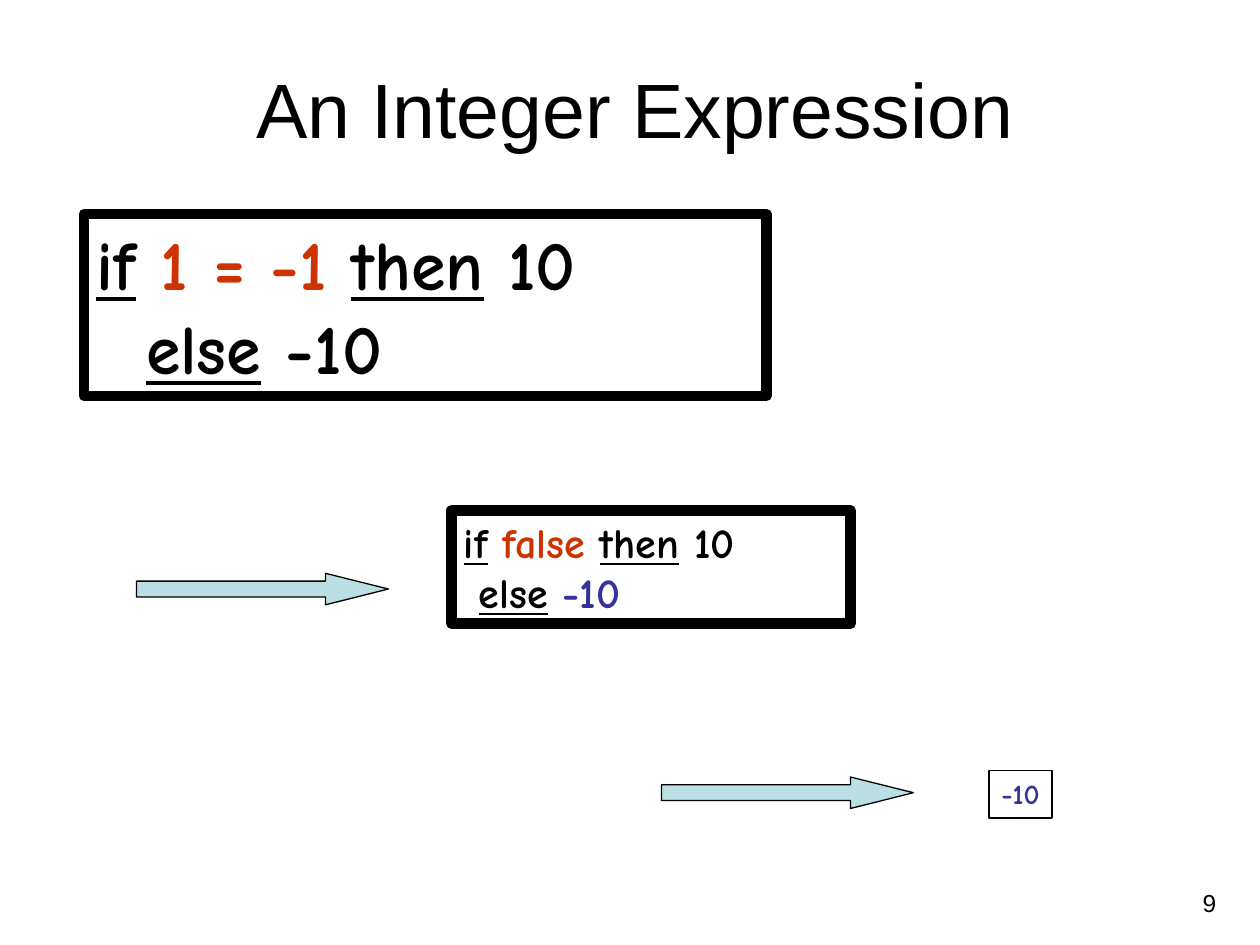
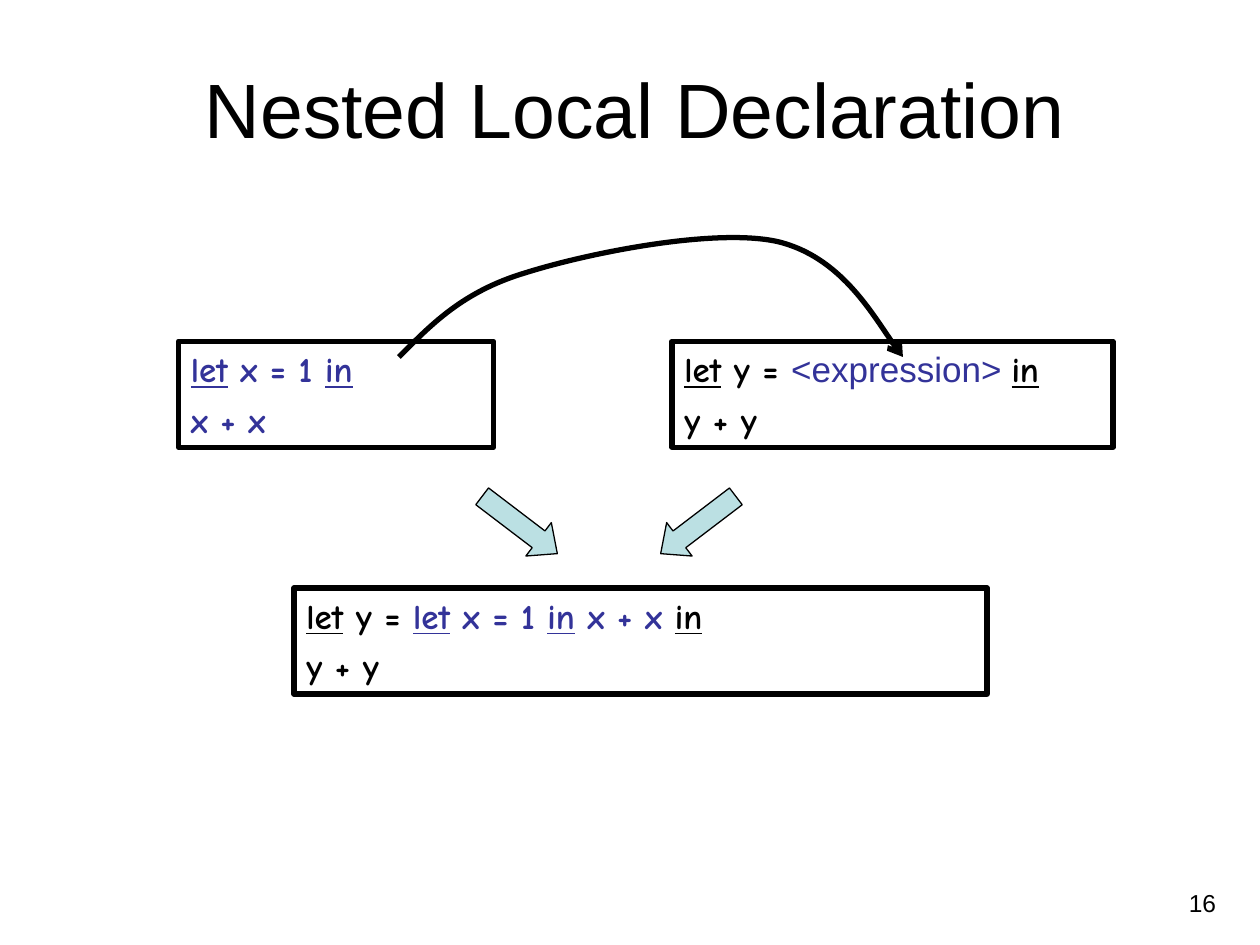
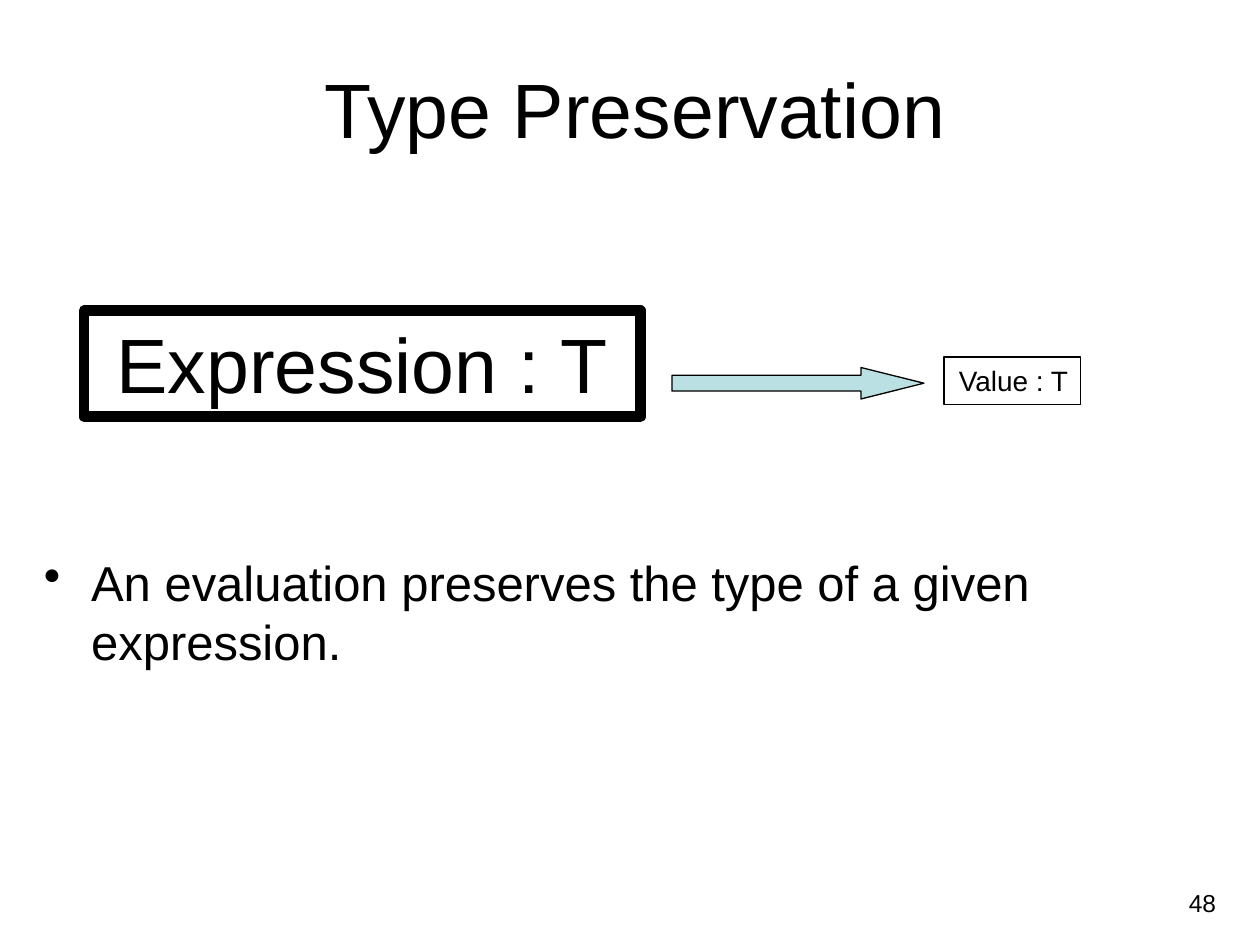
from dataclasses import dataclass

from lxml.etree import SubElement
from pptx import Presentation
from pptx.dml.color import RGBColor
from pptx.enum.shapes import MSO_SHAPE
from pptx.enum.text import MSO_ANCHOR, PP_ALIGN
from pptx.oxml.ns import qn
from pptx.util import Pt

PX = 7620  # EMU per px, 120 px to the inch


@dataclass(frozen=True)
class Theme:
    black: RGBColor = RGBColor(0x00, 0x00, 0x00)
    red: RGBColor = RGBColor(0xCC, 0x33, 0x00)
    blue: RGBColor = RGBColor(0x33, 0x33, 0x99)
    arrow: RGBColor = RGBColor(0xBB, 0xE0, 0xE3)
    text_font: str = "Arial"
    code_font: str = "Comic Neue"
    title_size: int = 44
    body_size: int = 28
    number_size: int = 14
    code_large: int = 40
    code_medium: int = 24
    code_small: int = 20
    value_size: int = 16
    thin: float = 0.75
    medium: int = 3
    thick: int = 6


theme = Theme()
BLACK, RED, BLUE = theme.black, theme.red, theme.blue
CODE, TEXT = theme.code_font, theme.text_font
KEYWORDS = {"if", "then", "else", "let", "in"}


def write_lines(shape, lines, size, align=PP_ALIGN.LEFT, space_before=0):
    """Write lines of (text, colour, font) runs; code is bold, its keywords underlined."""
    text_frame = shape.text_frame
    for index, line in enumerate(lines):
        paragraph = text_frame.add_paragraph() if index else text_frame.paragraphs[0]
        paragraph.alignment = align
        if index:
            paragraph.space_before = Pt(space_before)
        for text, color, font in line:
            run = paragraph.add_run()
            run.text = text
            run.font.name = font
            run.font.size = Pt(size)
            run.font.color.rgb = color
            run.font.bold = font == CODE
            run.font.underline = text in KEYWORDS


def add_figure(slide, kind, box, line_width, fill=None):
    """Add an outlined preset shape; box is left, top, width, height in px."""
    shape = slide.shapes.add_shape(kind, *(value * PX for value in box))
    shape.shadow.inherit = False
    if fill is None:
        shape.fill.background()
    else:
        shape.fill.solid()
        shape.fill.fore_color.rgb = fill
    shape.line.color.rgb = BLACK
    shape.line.width = Pt(line_width)
    shape.text_frame.vertical_anchor = MSO_ANCHOR.TOP
    return shape


presentation = Presentation()
presentation.slide_width = 1200 * PX
presentation.slide_height = 900 * PX

# Titles and slide numbers
slides = []
for title_text, number in (
    ("An Integer Expression", "9"),
    ("Nested Local Declaration", "16"),
    ("Type Preservation", "48"),
):
    slide = presentation.slides.add_slide(presentation.slide_layouts[5])
    title = slide.shapes.title
    title.left, title.top, title.width, title.height = (
        value * PX for value in (30, 36, 1150, 134))
    title.text_frame.vertical_anchor = MSO_ANCHOR.MIDDLE
    write_lines(title, [[(title_text, BLACK, TEXT)]], theme.title_size, PP_ALIGN.CENTER)
    number_box = slide.shapes.add_textbox(890 * PX, 840 * PX, 280 * PX, 42 * PX)
    number_box.text_frame.word_wrap = True
    write_lines(number_box, [[(number, BLACK, TEXT)]], theme.number_size, PP_ALIGN.RIGHT)
    slides.append(slide)
integer_slide, nested_slide, type_slide = slides

# Integer expression: the conditional and its first reduction
conditionals = (
    ((80, 204, 650, 173), theme.code_large, [
        [("if", BLACK, CODE), (" ", BLACK, CODE), ("1 = -1 ", RED, CODE),
         ("then", BLACK, CODE), (" 10", BLACK, CODE)],
        [("  ", BLACK, CODE), ("else", BLACK, CODE), (" -10", BLACK, CODE)],
    ]),
    ((430, 486, 380, 108), theme.code_medium, [
        [("if", BLACK, CODE), (" ", BLACK, CODE), ("false ", RED, CODE),
         ("then", BLACK, CODE), (" 10", BLACK, CODE)],
        [(" ", BLACK, CODE), ("else", BLACK, CODE), (" ", BLACK, CODE),
         ("-10", BLUE, CODE)],
    ]),
)
for box, size, lines in conditionals:
    shape = add_figure(integer_slide, MSO_SHAPE.RECTANGLE, box, theme.thick)
    write_lines(shape, lines, size)

# Nested declaration: two declarations and their combination
declarations = (
    ((170, 325, 300, 101), [
        [("let", BLUE, CODE), (" x = 1 ", BLUE, CODE), ("in", BLUE, CODE)],
        [("x + x", BLUE, CODE)],
    ]),
    ((640, 325, 420, 101), [
        [("let", BLACK, CODE), (" y = ", BLACK, CODE),
         ("<expression> ", BLUE, TEXT), ("in", BLACK, CODE)],
        [("y + y", BLACK, CODE)],
    ]),
    ((280, 560, 660, 101), [
        [("let", BLACK, CODE), (" y = ", BLACK, CODE), ("let", BLUE, CODE),
         (" x = 1 ", BLUE, CODE), ("in", BLUE, CODE), (" x + x ", BLUE, CODE),
         ("in", BLACK, CODE)],
        [("y + y", BLACK, CODE)],
    ]),
)
for box, lines in declarations:
    shape = add_figure(nested_slide, MSO_SHAPE.RECTANGLE, box, theme.medium)
    write_lines(shape, lines, theme.code_small, space_before=5)

# Type preservation: the typed expression
expression = add_figure(type_slide, MSO_SHAPE.RECTANGLE, (80, 296, 530, 101), theme.thick)
write_lines(expression, [[("Expression : T", BLACK, TEXT)]], theme.title_size, PP_ALIGN.CENTER)

# Resulting values
for slide, box, run, align in (
    (integer_slide, (942, 734, 60, 45), ("-10", BLUE, CODE), PP_ALIGN.CENTER),
    (type_slide, (899, 340, 130, 45), ("Value : T", BLACK, TEXT), PP_ALIGN.RIGHT),
):
    value_box = add_figure(slide, MSO_SHAPE.RECTANGLE, box, theme.thin)
    value_box.text_frame.word_wrap = False
    write_lines(value_box, [[run]], theme.value_size, align)

# Evaluation arrows
for slide, box, head_length, rotation in (
    (integer_slide, (130, 546, 240, 30), 2, 0),
    (integer_slide, (630, 740, 240, 30), 2, 0),
    (nested_slide, (450, 480, 90, 40), 0.56, 37.3),
    (nested_slide, (620, 480, 90, 40), 0.56, 180 - 37.3),
    (type_slide, (640, 350, 240, 30), 2, 0),
):
    arrow = add_figure(slide, MSO_SHAPE.RIGHT_ARROW, box, theme.thin, theme.arrow)
    arrow.adjustments[0] = 0.5
    arrow.adjustments[1] = head_length
    arrow.rotation = rotation

# Substitution curve: every three points make one Bézier segment
builder = nested_slide.shapes.build_freeform(380, 340, scale=PX)
builder.add_line_segments([
    (410, 310), (440, 278), (500, 260),
    (560, 241), (680, 217), (740, 230),
    (800, 244), (844, 320), (860, 340),
], close=False)
curve = builder.convert_to_shape()
curve.shadow.inherit = False
curve.fill.background()
curve.line.color.rgb = BLACK
curve.line.width = Pt(theme.medium)
outline = next(curve.element.iter(qn("a:path")))
segments = outline.findall(qn("a:lnTo"))
for start in range(0, len(segments), 3):
    bezier = SubElement(outline, qn("a:cubicBezTo"))
    for segment in segments[start:start + 3]:
        bezier.append(segment[0])
        outline.remove(segment)
SubElement(curve.line._get_or_add_ln(), qn("a:tailEnd"), type="arrow")

# Bulleted statement
statement = type_slide.shapes.add_textbox(30 * PX, 520 * PX, 1150 * PX, 310 * PX)
statement.text_frame.word_wrap = True
properties = statement.text_frame.paragraphs[0]._p.get_or_add_pPr()
properties.set("marL", str(45 * PX))
properties.set("indent", str(-45 * PX))
SubElement(properties, qn("a:buChar"), char="•")
write_lines(
    statement,
    [[("An evaluation preserves the type of a given expression.", BLACK, TEXT)]],
    theme.body_size,
)

presentation.save("out.pptx")
